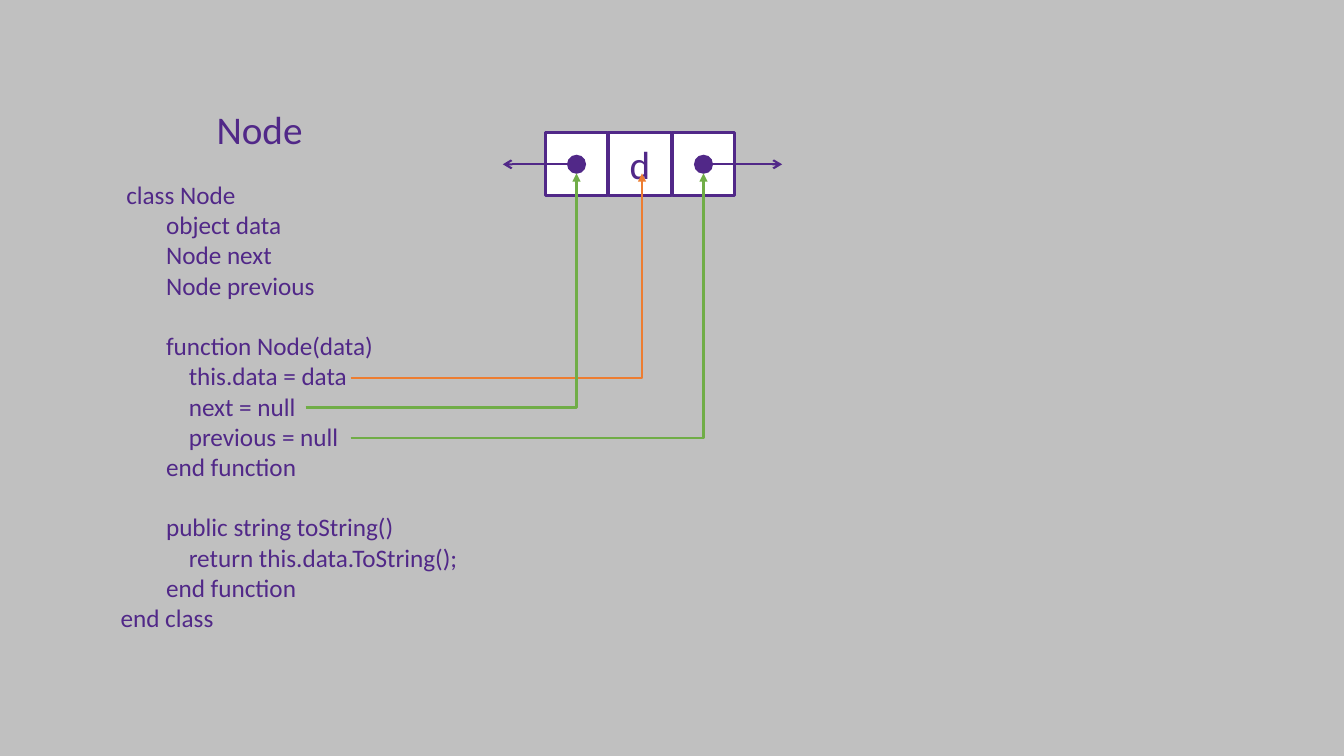
from dataclasses import dataclass

from pptx import Presentation
from pptx.dml.color import RGBColor
from pptx.enum.shapes import MSO_CONNECTOR, MSO_SHAPE
from pptx.enum.text import MSO_ANCHOR, MSO_AUTO_SIZE, PP_ALIGN
from pptx.oxml.ns import qn
from pptx.shapes.autoshape import Shape
from pptx.shapes.connector import Connector
from pptx.slide import Slide
from pptx.text.text import _Paragraph
from pptx.util import Cm, Pt
from lxml.etree import SubElement


@dataclass(frozen=True)
class Theme:
    """Colours and type sizes of the slide."""
    font: str = "Calibri"
    background: RGBColor = RGBColor(0xC0, 0xC0, 0xC0)
    cell: RGBColor = RGBColor(0xFF, 0xFF, 0xFF)
    ink: RGBColor = RGBColor(0x51, 0x28, 0x88)
    data: RGBColor = RGBColor(0xED, 0x7D, 0x31)
    link: RGBColor = RGBColor(0x70, 0xAD, 0x47)
    large: float = 28
    code: float = 18
    code_gap: float = 21.6
    border: float = 2.25
    arrow: float = 1.5


@dataclass(frozen=True)
class Arrow:
    """An arrow between two points in centimetres."""
    start: tuple[float, float]
    end: tuple[float, float]
    color: RGBColor
    head: str
    bent: bool = False


THEME = Theme()
CELL_SIZE = 1.58
CELL_PITCH = 1.6
NODE_LEFT = 13.74
NODE_TOP = 3.35
DOT_SIZE = 0.48
PREVIOUS, DATA, NEXT = range(3)
MIDDLE_Y = NODE_TOP + CELL_SIZE / 2
TIP_Y = 4.37

CODE_BLOCKS = (
    (" class Node",
     "        object data",
     "        Node next",
     "        Node previous"),
    ("        function Node(data)",
     "            this.data = data",
     "            next = null",
     "            previous = null",
     "        end function"),
    ("        public string toString()",
     "            return this.data.ToString();",
     "        end function",
     "end class"),
)


def cell_left(column: int) -> float:
    """Return the left edge of a node cell."""
    return NODE_LEFT + column * CELL_PITCH


def cell_center(column: int) -> float:
    """Return the horizontal centre of a node cell."""
    return cell_left(column) + CELL_SIZE / 2


def write(paragraph: _Paragraph, text: str, size: float) -> None:
    """Put styled text in a paragraph."""
    paragraph.text = text
    paragraph.font.name = THEME.font
    paragraph.font.size = Pt(size)
    paragraph.font.color.rgb = THEME.ink


def add_title(slide: Slide) -> None:
    """Add the heading above the code."""
    box = slide.shapes.add_textbox(Cm(5.21), Cm(2.54), Cm(2.77), Cm(1.45))
    box.text_frame.word_wrap = False
    box.text_frame.auto_size = MSO_AUTO_SIZE.SHAPE_TO_FIT_TEXT
    write(box.text_frame.paragraphs[0], "Node", THEME.large)


def add_code(slide: Slide) -> None:
    """Add the class listing with a gap between its blocks."""
    box = slide.shapes.add_textbox(Cm(2.79), Cm(4.39), Cm(16.94), Cm(11.79))
    frame = box.text_frame
    frame.word_wrap = True
    frame.auto_size = MSO_AUTO_SIZE.SHAPE_TO_FIT_TEXT
    paragraph = frame.paragraphs[0]
    for block_index, block in enumerate(CODE_BLOCKS):
        for line_index, line in enumerate(block):
            if block_index or line_index:
                paragraph = frame.add_paragraph()
            write(paragraph, line, THEME.code)
            if block_index and not line_index:
                paragraph.space_before = Pt(THEME.code_gap)


def add_square(slide: Slide, kind: MSO_SHAPE, left: float, top: float,
               size: float, fill: RGBColor) -> Shape:
    """Add a filled shape as wide as it is high."""
    shape = slide.shapes.add_shape(kind, Cm(left), Cm(top), Cm(size), Cm(size))
    shape.shadow.inherit = False
    shape.fill.solid()
    shape.fill.fore_color.rgb = fill
    return shape


def add_cell(slide: Slide, column: int) -> None:
    """Add a node cell with its data letter or pointer dot."""
    cell = add_square(slide, MSO_SHAPE.RECTANGLE, cell_left(column), NODE_TOP,
                      CELL_SIZE, THEME.cell)
    cell.line.color.rgb = THEME.ink
    cell.line.width = Pt(THEME.border)
    if column == DATA:
        cell.text_frame.vertical_anchor = MSO_ANCHOR.MIDDLE
        paragraph = cell.text_frame.paragraphs[0]
        write(paragraph, "d", THEME.large)
        paragraph.alignment = PP_ALIGN.CENTER
    else:
        dot = add_square(slide, MSO_SHAPE.OVAL,
                         cell_center(column) - DOT_SIZE / 2,
                         MIDDLE_Y - DOT_SIZE / 2, DOT_SIZE, THEME.ink)
        dot.line.fill.background()


def add_arrow(slide: Slide, arrow: Arrow) -> Connector:
    """Add a straight arrow, or one that runs across and then up."""
    kind = MSO_CONNECTOR.ELBOW if arrow.bent else MSO_CONNECTOR.STRAIGHT
    connector = slide.shapes.add_connector(
        kind, *(Cm(value) for value in arrow.start + arrow.end))
    connector.line.color.rgb = arrow.color
    connector.line.width = Pt(THEME.arrow)
    properties = connector.element.spPr
    if arrow.bent:
        properties.find(qn("a:prstGeom")).set("prst", "bentConnector2")
    SubElement(properties.find(qn("a:ln")), qn("a:tailEnd"), type=arrow.head)
    SubElement(properties, qn("a:effectLst"))
    return connector


def main() -> None:
    """Build and save the slide."""
    presentation = Presentation()
    presentation.slide_width = Cm(33.87)
    presentation.slide_height = Cm(19.05)
    slide = presentation.slides.add_slide(presentation.slide_layouts[6])
    slide.background.fill.solid()
    slide.background.fill.fore_color.rgb = THEME.background

    add_title(slide)
    add_code(slide)
    for column in (DATA, NEXT, PREVIOUS):
        add_cell(slide, column)

    dot_radius = DOT_SIZE / 2
    arrows = (
        Arrow((cell_center(NEXT) + dot_radius, MIDDLE_Y), (19.71, MIDDLE_Y),
              THEME.ink, "arrow"),
        Arrow((cell_center(PREVIOUS) + dot_radius, MIDDLE_Y), (12.67, MIDDLE_Y),
              THEME.ink, "arrow"),
        Arrow((8.84, 9.53), (16.18, TIP_Y), THEME.data, "triangle", True),
        Arrow((7.7, 10.27), (cell_center(PREVIOUS), TIP_Y),
              THEME.link, "triangle", True),
        Arrow((8.84, 11.04), (cell_center(NEXT), TIP_Y),
              THEME.link, "triangle", True),
    )
    for arrow in arrows:
        add_arrow(slide, arrow)
    presentation.save("out.pptx")


if __name__ == "__main__":
    main()
